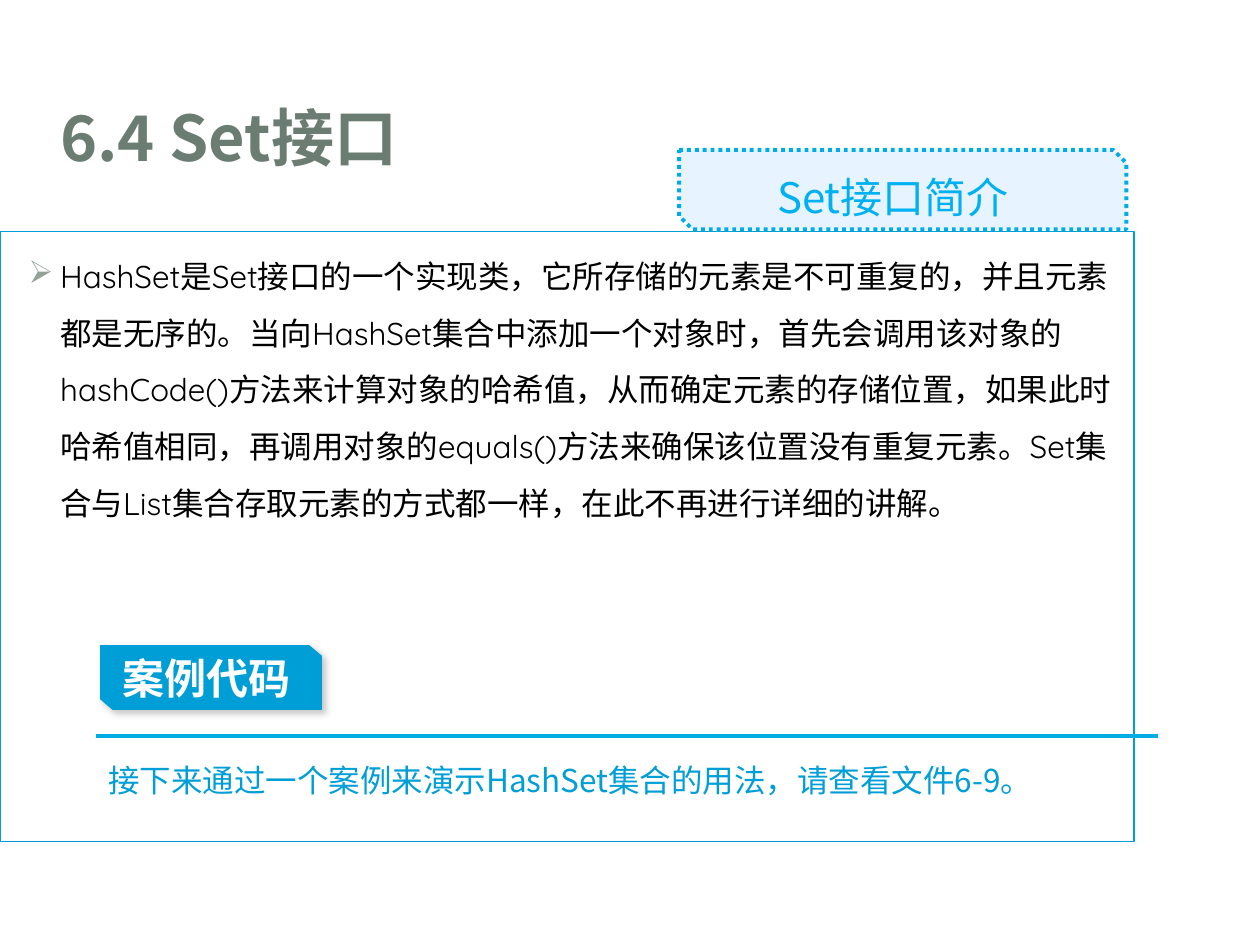
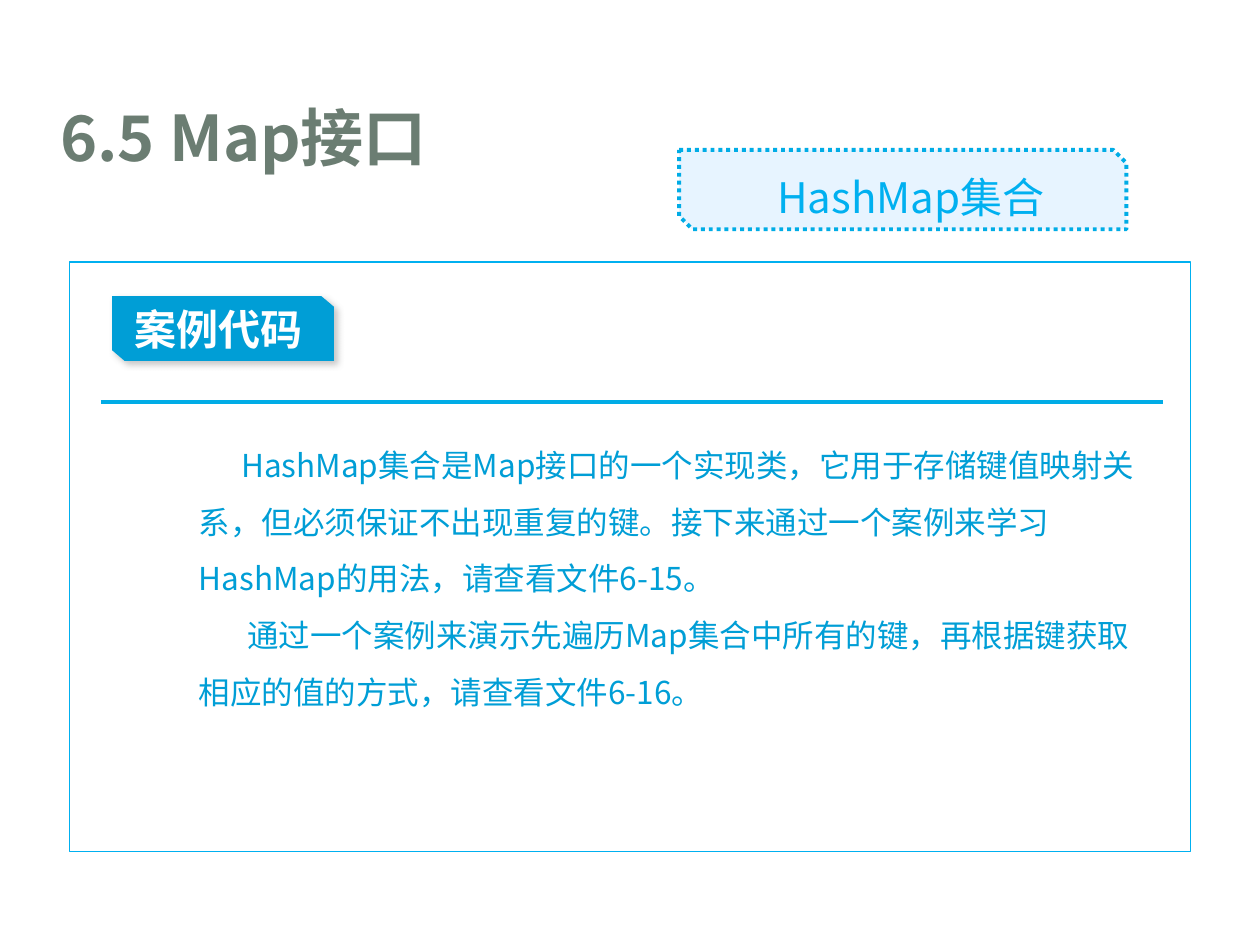
import pptx
import pptx.util
import pptx.dml.color
import pptx.enum.dml
import pptx.enum.shapes
import pptx.enum.text
import pptx.oxml.ns
import lxml.etree
import dataclasses

PAGES = [
    dict(
        title="6.4 Set接口",
        label="Set接口简介",
        frame=(0, 18.4, 90, 48.4),
        points=["HashSet是Set接口的一个实现类，它所存储的元素是不可重复的，并且元素都是无序的。"
                "当向HashSet集合中添加一个对象时，首先会调用该对象的hashCode()方法来计算对象的哈希值，"
                "从而确定元素的存储位置，如果此时哈希值相同，再调用对象的equals()方法来确保该位置没有重复元素。"
                "Set集合与List集合存取元素的方式都一样，在此不再进行详细的讲解。"],
        badge=(7.95, 51.2),
        rule=(7.6, 58.4),
        note=(7.6, 58.4, 82.5, 5),
        left=0,
        notes=[("接下来通过一个案例来演示HashSet集合的用法，请查看文件6-9。", 0)],
    ),
    dict(
        title="6.5 Map接口",
        label="HashMap集合",
        frame=(5.5, 20.8, 89, 46.8),
        points=[],
        badge=(8.9, 23.5),
        rule=(8, 31.9),
        note=(9.8, 33.4, 82.5, 23.7),
        left=5,
        notes=[("HashMap集合是Map接口的一个实现类，它用于存储键值映射关系，但必须保证不出现重复的键。"
                "接下来通过一个案例来学习HashMap的用法，请查看文件6-15。", 3.35),
               ("通过一个案例来演示先遍历Map集合中所有的键，再根据键获取相应的值的方式，请查看文件6-16。", 3.85)],
    ),
]
BADGE = "案例代码"
TITLE_BOX = (3.8, 6.6, 86.9, 8.4)
LABEL_BOX = (53.9, 11.9, 35.5, 6.3)
LABEL_TEXT = (60.7, 11.7, 30, 5.7)
BADGE_SIZE = (17.6, 5.15)
SNIP = (1, 0.85)
RULE_WIDTH = 84.3


@dataclasses.dataclass(frozen=True)
class Theme:
    sans: str = "Noto Sans CJK SC"
    round: str = "Quicksand"
    title: str = "6B7D72"
    blue: str = "009ED6"
    edge: str = "00ACE6"
    sky: str = "00B0F0"
    pale: str = "E7F4FF"
    white: str = "FFFFFF"
    black: str = "000000"
    mark: str = "93A299"
    shade: str = "808080"
    big: int = 36
    mid: int = 24
    small: int = 18
    thin: float = 0.75
    thick: float = 2.25


T = Theme()
KIND = pptx.enum.shapes.MSO_SHAPE
ANCHOR = pptx.enum.text.MSO_ANCHOR
qn = pptx.oxml.ns.qn

deck = pptx.Presentation()
deck.slide_width = pptx.util.Inches(10)
deck.slide_height = pptx.util.Inches(7.5)
CELL = deck.slide_width / 100


def grid(*cells):
    return [pptx.util.Emu(round(n * CELL)) for n in cells]


def rgb(code):
    return pptx.dml.color.RGBColor.from_string(code)


def paint(shape, fill, line=None, width=T.thin):
    shape.shadow.inherit = False
    if fill:
        shape.fill.solid()
        shape.fill.fore_color.rgb = rgb(fill)
    else:
        shape.fill.background()
    if line:
        shape.line.color.rgb = rgb(line)
        shape.line.width = pptx.util.Pt(width)
    else:
        shape.line.fill.background()


def write(frame, lines, size, color, face=T.sans, bold=False, space=1,
          left=0, anchor=ANCHOR.TOP):
    frame.word_wrap = True
    frame.vertical_anchor = anchor
    for i, (text, first) in enumerate(lines):
        para = frame.paragraphs[0] if i == 0 else frame.add_paragraph()
        para.text = text
        para.alignment = pptx.enum.text.PP_ALIGN.LEFT
        para.line_spacing = space
        font = para.font
        font.name, font.bold = face, bold
        font.size, font.color.rgb = pptx.util.Pt(size), rgb(color)
        props = para._p.get_or_add_pPr()
        east = lxml.etree.SubElement(props.find(qn("a:defRPr")), qn("a:ea"))
        east.set("typeface", T.sans)
        margin, indent = grid(left, first)
        props.set("marL", str(margin))
        props.set("indent", str(indent))


def text(slide, box, lines, *style, **more):
    shape = slide.shapes.add_textbox(*grid(*box))
    write(shape.text_frame, lines, *style, **more)


def bullet(para):
    para.space_before = pptx.util.Pt(T.small * 0.2)
    props = para._p.get_or_add_pPr()
    last = props.find(qn("a:defRPr"))
    tint = lxml.etree.Element(qn("a:buClr"))
    lxml.etree.SubElement(tint, qn("a:srgbClr")).set("val", T.mark)
    last.addprevious(tint)
    mark = lxml.etree.Element(qn("a:buChar"))
    mark.set("char", "➢")
    last.addprevious(mark)


def panel(slide, page):
    shape = slide.shapes.add_shape(KIND.RECTANGLE, *grid(*page["frame"]))
    paint(shape, None, T.blue if page["points"] else T.sky)
    if page["points"]:
        write(shape.text_frame, [(p, -2.5) for p in page["points"]],
              T.small, T.black, T.round, space=1.5, left=3.8)
        for para in shape.text_frame.paragraphs:
            bullet(para)


def label(slide, words):
    shape = slide.shapes.add_shape(KIND.SNIP_2_DIAG_RECTANGLE, *grid(*LABEL_BOX))
    paint(shape, T.pale, T.edge, T.thick)
    shape.line.dash_style = pptx.enum.dml.MSO_LINE.ROUND_DOT
    text(slide, LABEL_TEXT, [(words, 0)], T.mid, T.sky, space=1.35)


def badge(slide, spot):
    x, y = spot
    w, h = BADGE_SIZE
    dx, dy = SNIP
    dots = [(x + w - dx, y), (x + w, y + dy), (x + w, y + h),
            (x + dx, y + h), (x, y + h - dy)]
    form = slide.shapes.build_freeform(*grid(x, y))
    form.add_line_segments([grid(*dot) for dot in dots], close=True)
    shape = form.convert_to_shape()
    paint(shape, T.blue)
    glow = lxml.etree.SubElement(
        shape._element.spPr.find(qn("a:effectLst")), qn("a:outerShdw"),
        blurRad=str(pptx.util.Pt(4)), dist=str(pptx.util.Pt(3)),
        dir=str(45 * 60000), algn="ctr", rotWithShape="0")
    tone = lxml.etree.SubElement(glow, qn("a:srgbClr"), val=T.shade)
    lxml.etree.SubElement(tone, qn("a:alpha"), val="43000")
    frame = shape.text_frame
    frame.margin_left, frame.margin_right = grid(1.75, 0)
    frame.margin_top = frame.margin_bottom = 0
    write(frame, [(BADGE, 0)], T.mid, T.white, bold=True, anchor=ANCHOR.MIDDLE)


def rule(slide, spot):
    x, y = spot
    line = slide.shapes.add_connector(
        pptx.enum.shapes.MSO_CONNECTOR.STRAIGHT, *grid(x, y, x + RULE_WIDTH, y))
    line.line.color.rgb = rgb(T.edge)
    line.line.width = pptx.util.Pt(T.thick)
    lxml.etree.SubElement(line._element.spPr, qn("a:effectLst"))


def build(page):
    slide = deck.slides.add_slide(deck.slide_layouts[6])
    panel(slide, page)
    label(slide, page["label"])
    text(slide, page["note"], page["notes"], T.small, T.blue,
         space=1.5, left=page["left"])
    badge(slide, page["badge"])
    rule(slide, page["rule"])
    text(slide, TITLE_BOX, [(page["title"], 0)], T.big, T.title,
         bold=True, anchor=ANCHOR.MIDDLE)


for page in PAGES:
    build(page)
deck.save("out.pptx")
